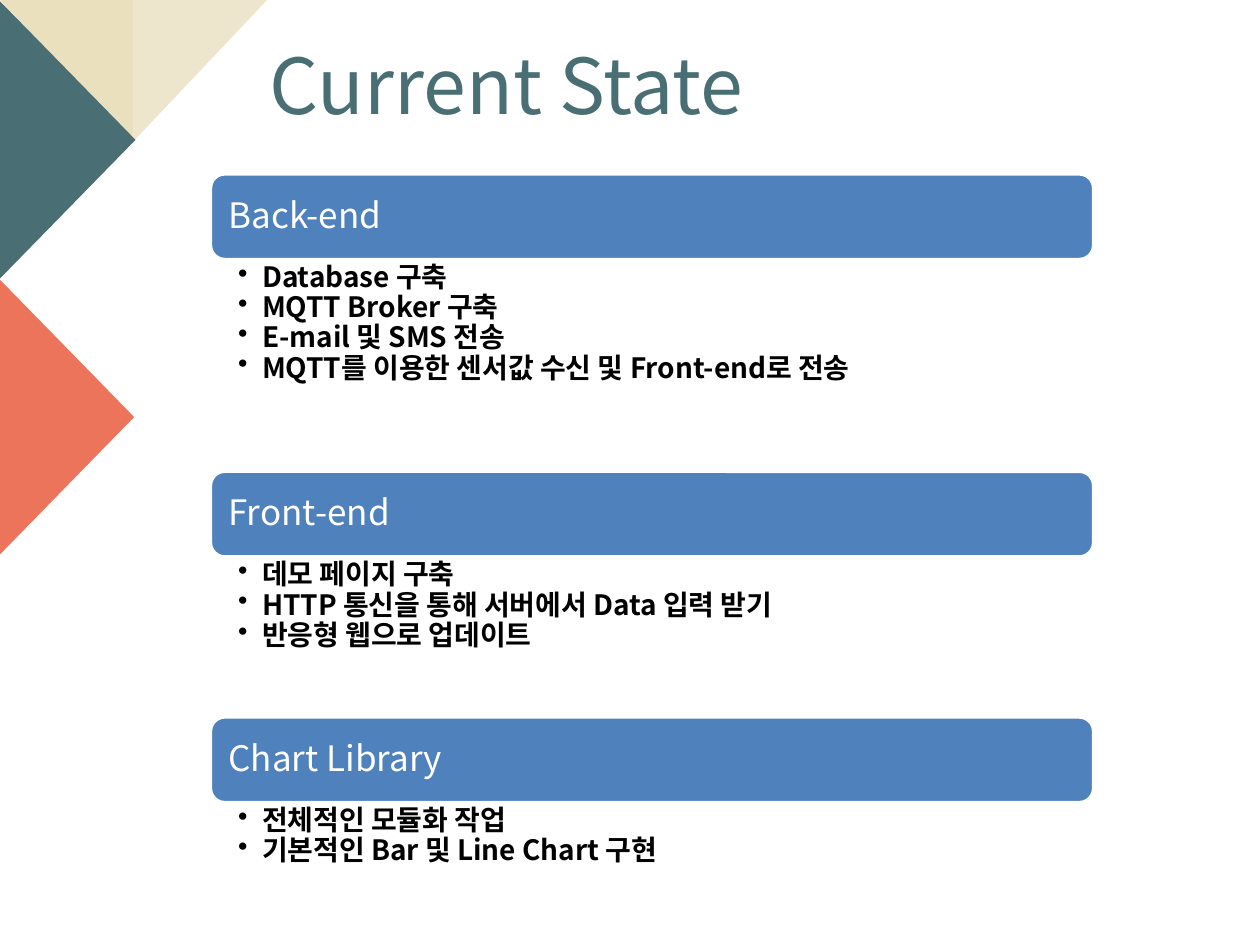
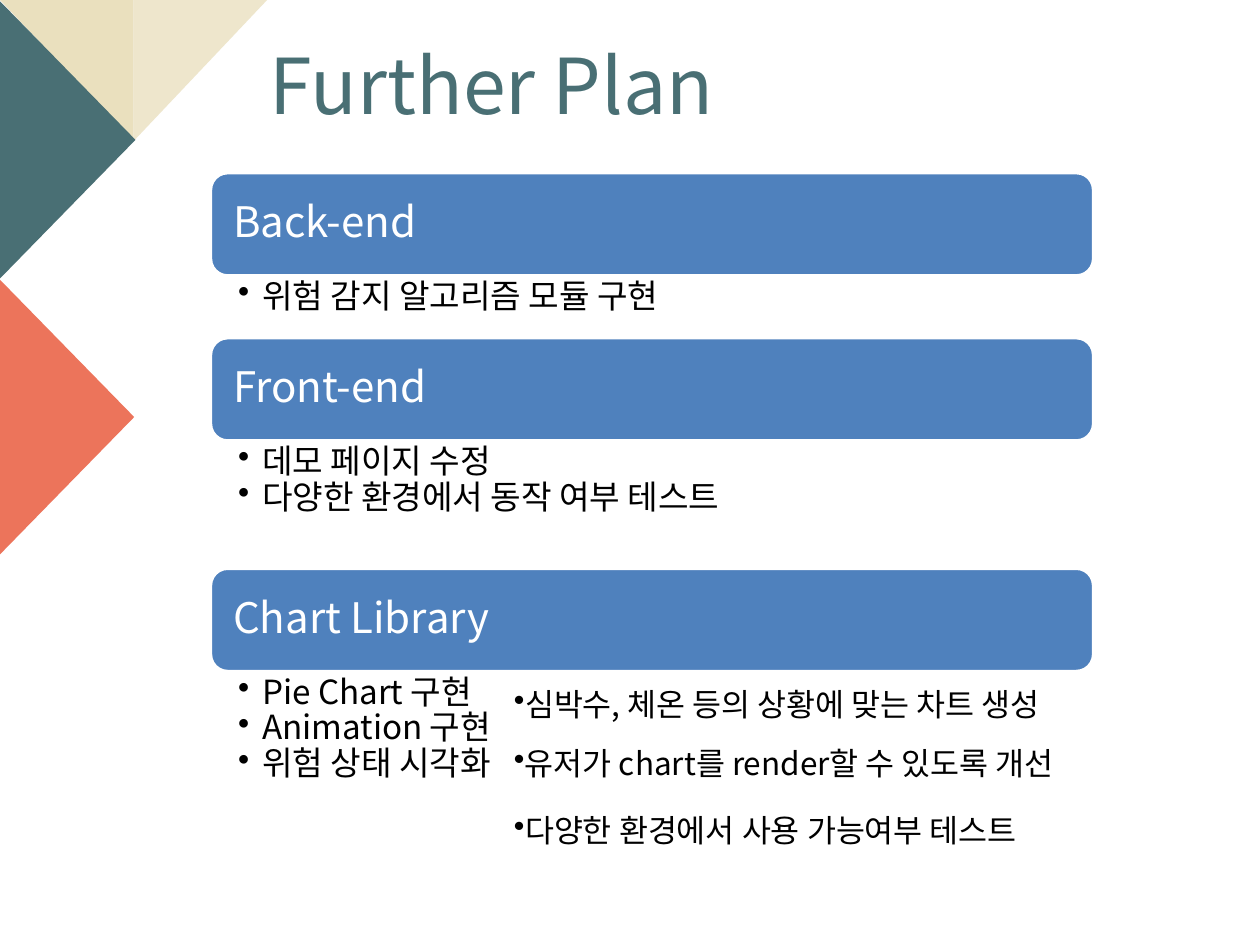
"""Build two project status slides: the current state and the further plan."""
from lxml.etree import SubElement
from pptx import Presentation
from pptx.dml.color import RGBColor
from pptx.enum.shapes import MSO_SHAPE as Shape
from pptx.enum.text import MSO_ANCHOR as Anchor, MSO_AUTO_SIZE as AutoSize, PP_ALIGN as Align
from pptx.oxml.ns import qn
from pptx.util import Inches, Pt

SLIDES = [
    {
        "title": "Current State",
        "top": 1.38, "band_height": 0.68, "band_inset": 0.11,
        "heading_size": 20, "item_size": 16, "bold": True,
        "sections": [
            ("Back-end", 1.68, ["Database 구축", "MQTT Broker 구축", "E-mail 및 SMS 전송",
                                "MQTT를 이용한 센서값 수신 및 Front-end로 전송"]),
            ("Front-end", 1.27, ["데모 페이지 구축", "HTTP 통신을 통해 서버에서 Data 입력 받기",
                                 "반응형 웹으로 업데이트"]),
            ("Chart Library", 0.84, ["전체적인 모듈화 작업", "기본적인 Bar 및 Line Chart 구현"]),
        ],
        "side_notes": [],
    },
    {
        "title": "Further Plan",
        "top": 1.37, "band_height": 0.82, "band_inset": 0.14,
        "heading_size": 24, "item_size": 19, "bold": False,
        "sections": [
            ("Back-end", 0.49, ["위험 감지 알고리즘 모듈 구현"]),
            ("Front-end", 1.01, ["데모 페이지 수정", "다양한 환경에서 동작 여부 테스트"]),
            ("Chart Library", 1.49, ["Pie Chart 구현", "Animation 구현", "위험 상태 시각화"]),
        ],
        "side_notes": [
            (5.39, 4.92, "심박수, 체온 등의 상황에 맞는 차트 생성"),
            (5.86, 4.84, "유저가 chart를 render할 수 있도록 개선"),
            (6.39, 4.69, "다양한 환경에서 사용 가능여부 테스트"),
        ],
    },
]

FONT = "Noto Sans CJK KR"
WHITE = RGBColor(0xFF, 0xFF, 0xFF)
BLACK = RGBColor(0x00, 0x00, 0x00)
BLUE = RGBColor(0x4F, 0x81, 0xBD)
TEAL = RGBColor(0x49, 0x6F, 0x74)
CORAL = RGBColor(0xEC, 0x74, 0x5B)
SAND = RGBColor(0xEA, 0xE0, 0xBE)
PALE_SAND = RGBColor(0xEE, 0xE6, 0xCC)

CORNER_TRIANGLES = [
    (Shape.RIGHT_TRIANGLE, (0, 0, 1.06, 1.12), 180, False, SAND),
    (Shape.RIGHT_TRIANGLE, (1.06, 0, 1.06, 1.12), 180, True, PALE_SAND),
    (Shape.ISOSCELES_TRIANGLE, (-0.57, 0.57, 2.21, 1.08), 90, False, TEAL),
    (Shape.ISOSCELES_TRIANGLE, (-0.58, 2.77, 2.21, 1.08), 90, False, CORAL),
]
TITLE_BOX = (2.04, 0.33, 4.03, 0.99)
COLUMN_LEFT, COLUMN_WIDTH = 1.67, 7.01
SIDE_LEFT, SIDE_HEIGHT = 3.98, 0.4
ITEM_INDENT = 0.19


def inches(box):
    return [Inches(length) for length in box]


def write(frame, lines, *, size, color, bold=False, anchor=Anchor.TOP, insets=None,
          spacing=1.0, bullet=False, indent=0, level=0, wrap=True):
    frame.word_wrap = wrap
    frame.vertical_anchor = anchor
    if insets:
        (frame.margin_left, frame.margin_top,
         frame.margin_right, frame.margin_bottom) = inches(insets)
    for number, line in enumerate(lines):
        paragraph = frame.add_paragraph() if number else frame.paragraphs[0]
        paragraph.alignment = Align.LEFT
        paragraph.level = level
        paragraph.line_spacing = spacing
        run = paragraph.add_run()
        run.text = line
        run.font.name = FONT
        run.font.size = Pt(size)
        run.font.bold = bold
        run.font.color.rgb = color
        SubElement(run.font._element, qn("a:ea"), typeface=FONT)
        if bullet:
            properties = paragraph._p.get_or_add_pPr()
            properties.set("marL", str(Inches(indent)))
            properties.set("indent", str(-Inches(indent)))
            SubElement(properties, qn("a:buChar"), char="•")


def add_filled(slide, preset, box, color):
    shape = slide.shapes.add_shape(preset, *inches(box))
    shape.shadow.inherit = False
    shape.fill.solid()
    shape.fill.fore_color.rgb = color
    return shape


def decorate_layout(layout, slide):
    for placeholder in list(layout.placeholders)[1:]:
        placeholder.element.getparent().remove(placeholder.element)
    for position, (preset, box, rotation, flipped, color) in enumerate(CORNER_TRIANGLES, 2):
        triangle = add_filled(slide, preset, box, color)
        triangle.line.fill.background()
        triangle.rotation = rotation
        if flipped:
            triangle.element.spPr.find(qn("a:xfrm")).set("flipH", "1")
        layout.shapes.element.insert(position, triangle.element)


def add_title(slide, text):
    title = slide.shapes.title
    title.left, title.top, title.width, title.height = inches(TITLE_BOX)
    write(title.text_frame, [text], size=44, color=TEAL, spacing=0.9)


def add_sections(slide, content):
    top, band_height, inset = content["top"], content["band_height"], content["band_inset"]
    for heading, body_height, items in content["sections"]:
        band = add_filled(slide, Shape.ROUNDED_RECTANGLE,
                          (COLUMN_LEFT, top, COLUMN_WIDTH, band_height), BLUE)
        band.line.color.rgb = WHITE
        band.line.width = Pt(2)
        write(band.text_frame, [heading], size=content["heading_size"], color=WHITE,
              anchor=Anchor.MIDDLE, insets=[inset] * 4, spacing=0.9)
        top += band_height
        body = slide.shapes.add_textbox(*inches((COLUMN_LEFT, top, COLUMN_WIDTH, body_height)))
        write(body.text_frame, items, size=content["item_size"], color=BLACK,
              bold=content["bold"], insets=(0.22, 0.03, 0.16, 0.03), spacing=0.9,
              bullet=True, indent=ITEM_INDENT, level=1)
        top += body_height


def add_side_notes(slide, notes):
    for top, width, text in notes:
        note = slide.shapes.add_textbox(*inches((SIDE_LEFT, top, width, SIDE_HEIGHT)))
        write(note.text_frame, [text], size=18, color=BLACK, bullet=True, wrap=False)
        note.text_frame.auto_size = AutoSize.SHAPE_TO_FIT_TEXT


def main():
    presentation = Presentation()
    presentation.slide_width, presentation.slide_height = Inches(10), Inches(7.5)
    layout = presentation.slide_layouts.get_by_name("Title Only")
    for number, content in enumerate(SLIDES):
        slide = presentation.slides.add_slide(layout)
        if number == 0:
            decorate_layout(layout, slide)
        add_title(slide, content["title"])
        add_sections(slide, content)
        add_side_notes(slide, content["side_notes"])
    presentation.save("out.pptx")


if __name__ == "__main__":
    main()
